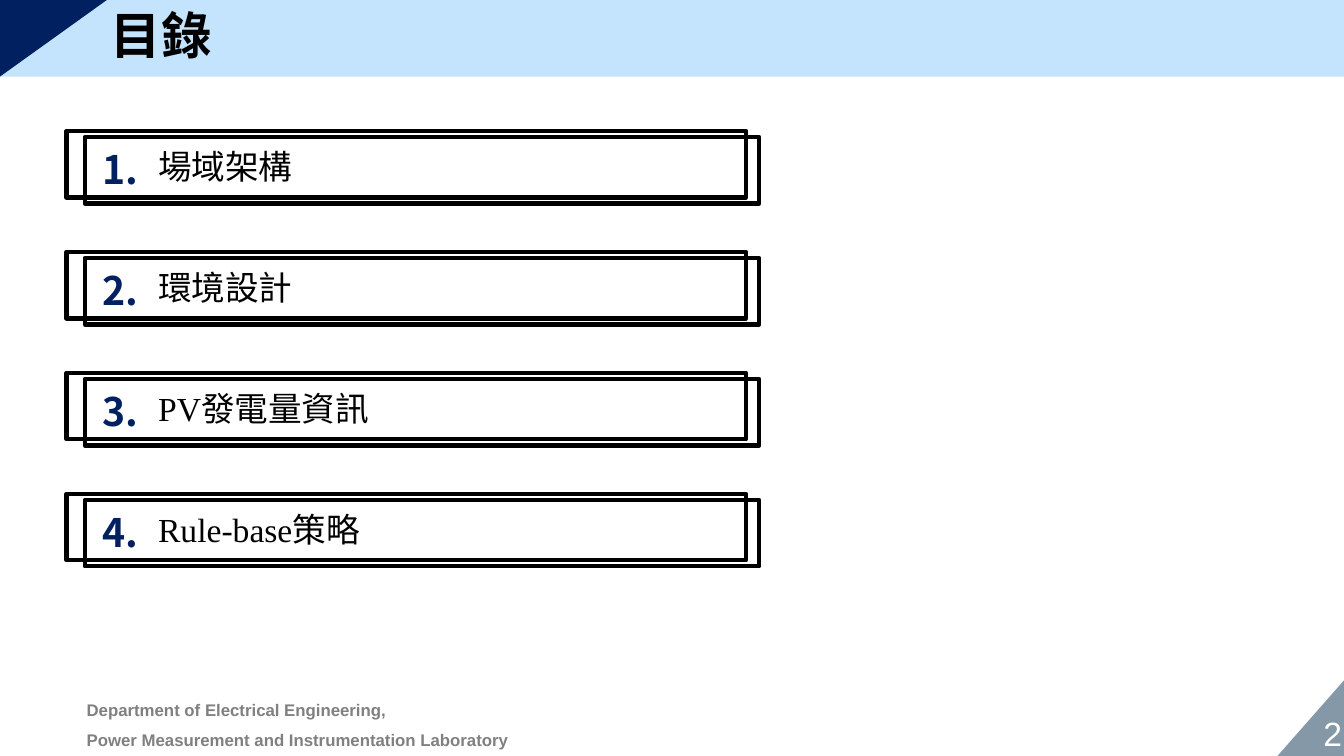
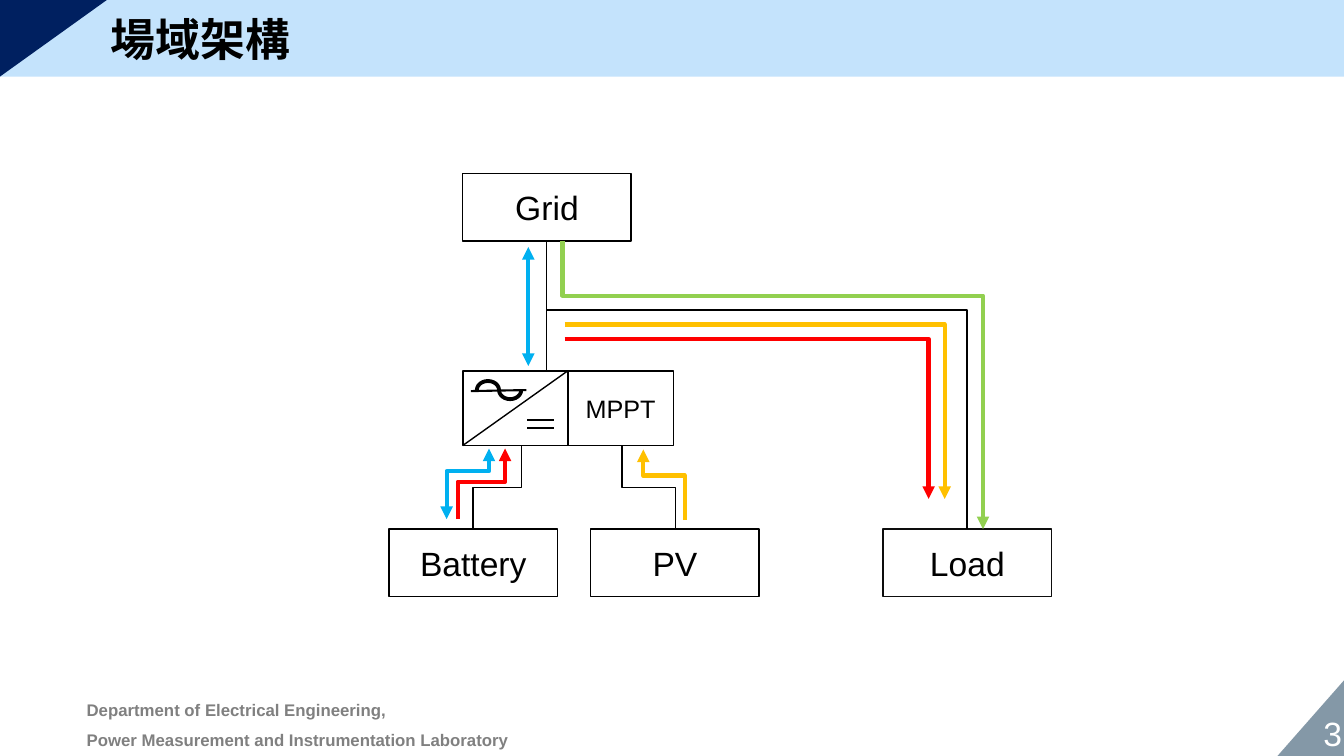
from math import cos, pi, sin

from pptx import Presentation
from pptx.dml.color import RGBColor
from pptx.enum.shapes import MSO_CONNECTOR, MSO_SHAPE
from pptx.enum.text import MSO_ANCHOR, PP_ALIGN
from pptx.oxml.ns import qn
from pptx.oxml.xmlchemy import OxmlElement
from pptx.util import Inches, Pt

RECT, TRIANGLE = MSO_SHAPE.RECTANGLE, MSO_SHAPE.RIGHT_TRIANGLE
STRAIGHT, ELBOW = MSO_CONNECTOR.STRAIGHT, MSO_CONNECTOR.ELBOW
LEFT, CENTER, RIGHT = PP_ALIGN.LEFT, PP_ALIGN.CENTER, PP_ALIGN.RIGHT
TOP, MIDDLE = MSO_ANCHOR.TOP, MSO_ANCHOR.MIDDLE

BLACK, WHITE, NAVY, SKY = "000000", "FFFFFF", "002060", "C4E3FC"
SLATE, GREY, INK = "516D82", "808080", "0D0D0D"
BLUE, GOLD, RED, GREEN = "00B0F0", "FFC000", "FF0000", "92D050"
SANS, SERIF, CJK = "Arial", "Times New Roman", "Noto Sans CJK SC"


def paint(shape, fill=None, line=None, width=1):
    """Set fill and outline, with None for neither, and drop the shadow."""
    shape.shadow.inherit = False
    if fill:
        shape.fill.solid()
        shape.fill.fore_color.rgb = RGBColor.from_string(fill)
    else:
        shape.fill.background()
    if line:
        shape.line.color.rgb = RGBColor.from_string(line)
        shape.line.width = Pt(width)
    else:
        shape.line.fill.background()


def write(shape, lines, size, color=BLACK, font=SANS, bold=False,
          align=LEFT, anchor=TOP, space=1.0):
    frame = shape.text_frame
    frame.word_wrap = True
    frame.vertical_anchor = anchor
    frame.text = "\n".join(lines)
    for para in frame.paragraphs:
        para.alignment = align
        para.line_spacing = space
        face = para.runs[0].font
        for key, value in {"size": Pt(size), "bold": bold, "name": font}.items():
            setattr(face, key, value)
        face.color.rgb = RGBColor.from_string(color)
        asian = OxmlElement("a:ea")
        asian.set("typeface", CJK)
        para.runs[0]._r.get_or_add_rPr().append(asian)


deck = Presentation()
deck.slide_width, deck.slide_height = Inches(13.33), Inches(7.5)
layout = deck.slide_layouts[5]
slides = []

# Title, font, size, top and page number
for title, font, size, top, page in [
    ("目錄", SANS, 36, 0, "2"),
    ("場域架構", CJK, 32, 0.08, "3"),
]:
    slide = deck.slides.add_slide(layout)
    slides.append(slide)
    head = slide.shapes.title
    head.left, head.top = Inches(1), Inches(top)
    head.width, head.height = Inches(11.33), Inches(0.75 - top)
    write(head, [title], size, font=font, bold=True, anchor=MIDDLE, space=0.9)
    number = slide.shapes.add_textbox(Inches(12.67), Inches(7.04), Inches(0.74), Inches(0.47))
    write(number, [page], 24, WHITE, align=RIGHT, anchor=MIDDLE)

agenda, diagram = [slide.shapes for slide in slides]

# Shared band, corners and footer, moved to the layout
band = agenda.add_shape(RECT, 0, 0, deck.slide_width, Inches(0.76))
paint(band, SKY)
wedge = agenda.add_shape(TRIANGLE, Inches(0.15), Inches(-0.15), Inches(0.76), Inches(1.06))
wedge.rotation = 90
paint(wedge, NAVY)
outline = agenda.build_freeform(Inches(12.67), Inches(7.5))
outline.add_line_segments([(Inches(13.33), Inches(6.75)), (Inches(13.33), Inches(7.5))])
corner = outline.convert_to_shape()
paint(corner, SLATE)
alpha = OxmlElement("a:alpha")
alpha.set("val", "70000")
corner._element.spPr.find(".//" + qn("a:srgbClr")).append(alpha)
footer = agenda.add_textbox(Inches(0.8), Inches(6.82), Inches(5.7), Inches(0.62))
for side, inset in {"left": 0.06, "right": 0.06, "top": 0.02, "bottom": 0.02}.items():
    setattr(footer.text_frame, "margin_" + side, Inches(inset))
write(footer, ["Department of Electrical Engineering,",
               "Power Measurement and Instrumentation Laboratory"],
      12, GREY, bold=True, space=1.5)
for part in (band, wedge, corner, footer):
    layout.shapes._spTree.append(part._element)

# Agenda
topics = [("場域架構", CJK), ("環境設計", CJK), ("PV發電量資訊", SERIF), ("Rule-base策略", SERIF)]
for i, (topic, font) in enumerate(topics):
    top = 1.3 + 1.2 * i
    for x, y, width in [(0.66, top, 6.74), (0.84, top + 0.06, 6.69)]:
        frame = agenda.add_shape(RECT, Inches(x), Inches(y), Inches(width), Inches(0.66))
        paint(frame, line=BLACK, width=3)
    index = agenda.add_textbox(Inches(0.92), Inches(top + 0.09), Inches(0.7), Inches(0.54))
    write(index, [f"{i + 1}."], 28, NAVY, CJK, bold=True)
    label = agenda.add_textbox(Inches(1.47), Inches(top + 0.1), Inches(5.9), Inches(0.5))
    write(label, [topic], 24, font=font)

# System diagram
for name, x, y, edge in [
    ("Battery", 3.86, 5.25, BLACK),
    ("PV", 5.86, 5.25, BLACK),
    ("Load", 8.76, 5.25, INK),
    ("Grid", 4.59, 1.72, BLACK),
]:
    node = diagram.add_shape(RECT, Inches(x), Inches(y), Inches(1.67), Inches(0.67))
    paint(node, WHITE, edge)
    write(node, [name], 24, align=CENTER, anchor=MIDDLE)

unit = diagram.add_shape(RECT, Inches(4.59), Inches(3.68), Inches(2.09), Inches(0.74))
paint(unit, WHITE, BLACK)
label = diagram.add_textbox(Inches(5.63), Inches(3.85), Inches(1.05), Inches(0.41))
write(label, ["MPPT"], 18, align=CENTER, anchor=MIDDLE)

# Sine sign: an upper and a lower half ellipse
points = []
for mid, turn in [(4.84, 1), (5.06, -1)]:
    for step in range(13):
        angle = pi * step / 12
        points.append((Inches(mid - 0.11 * cos(angle)),
                       Inches(3.87 - turn * 0.09 * sin(angle))))
outline = diagram.build_freeform(*points[0])
outline.add_line_segments(points[1:], close=False)
paint(outline.convert_to_shape(), line=BLACK, width=2.75)

# Start, end, bend as a share of the way (None: straight), first leg, colour, width, arrowheads
links = [
    (4.59, 4.42, 5.63, 3.68, None, "", BLACK, 1, ()),
    (4.67, 3.88, 5.22, 3.87, None, "", BLACK, 1.5, ()),
    (5.23, 4.17, 5.49, 4.17, None, "", BLACK, 1.5, ()),
    (5.23, 4.25, 5.49, 4.25, None, "", BLACK, 1.5, ()),
    (5.42, 2.39, 9.59, 5.25, 0.24, "down", BLACK, 1, ()),
    (6.17, 4.42, 6.7, 5.25, 0.5, "down", BLACK, 1, ()),
    (5.17, 4.42, 4.69, 5.25, 0.5, "down", BLACK, 1, ()),
    (5.42, 3.01, 5.42, 3.68, None, "", BLACK, 1, ()),
    (5.24, 2.45, 5.24, 3.63, None, "", BLUE, 3, ("head", "tail")),
    (4.85, 4.45, 4.43, 5.15, 0.32, "down", BLUE, 3, ("head", "tail")),
    (6.79, 5.16, 6.38, 4.46, 0.63, "down", GOLD, 3, ("tail",)),
    (5.6, 3.22, 9.37, 4.95, 1, "across", GOLD, 3, ("tail",)),
    (4.54, 5.15, 5.01, 4.45, 0.53, "down", RED, 3, ("tail",)),
    (5.6, 3.36, 9.21, 4.95, 1, "across", RED, 3, ("tail",)),
    (5.58, 2.39, 9.75, 5.25, 0.19, "down", GREEN, 3, ("tail",)),
    (5.63, 3.68, 5.63, 4.42, None, "", BLACK, 1, ()),
]
for x1, y1, x2, y2, bend, leg, color, width, ends in links:
    ax, ay, bx, by = x1, y1, x2, y2
    if leg == "down":
        # An elbow that leaves upright is a level one, turned about its centre
        half, rise = abs(y2 - y1) / 2, abs(x2 - x1) / 2
        cx, cy = (x1 + x2) / 2, (y1 + y2) / 2
        ax, ay, bx, by = cx - half, cy - rise, cx + half, cy + rise
    kind = STRAIGHT if bend is None else ELBOW
    link = diagram.add_connector(kind, Inches(ax), Inches(ay), Inches(bx), Inches(by))
    link.line.color.rgb = RGBColor.from_string(color)
    link.line.width = Pt(width)
    props = link._element.spPr
    if leg == "down":
        frame = props.find(qn("a:xfrm"))
        turn = 270 if (x2 > x1) == (y2 > y1) else 90
        frame.set("rot", str(turn * 60000))
        frame.set("flipH", str(int(x2 > x1)))
        frame.set("flipV", str(int(y2 < y1)))
    if bend is not None:
        guide = OxmlElement("a:gd")
        guide.set("name", "adj1")
        guide.set("fmla", f"val {round(bend * 100000)}")
        props.find(".//" + qn("a:avLst")).append(guide)
    for end in ends:
        arrow = OxmlElement(f"a:{end}End")
        arrow.set("type", "triangle")
        props.find(qn("a:ln")).append(arrow)
    props.append(OxmlElement("a:effectLst"))

# The last link divides the unit from top to bottom
link.begin_connect(unit, 0)
link.end_connect(unit, 2)

deck.save("out.pptx")
